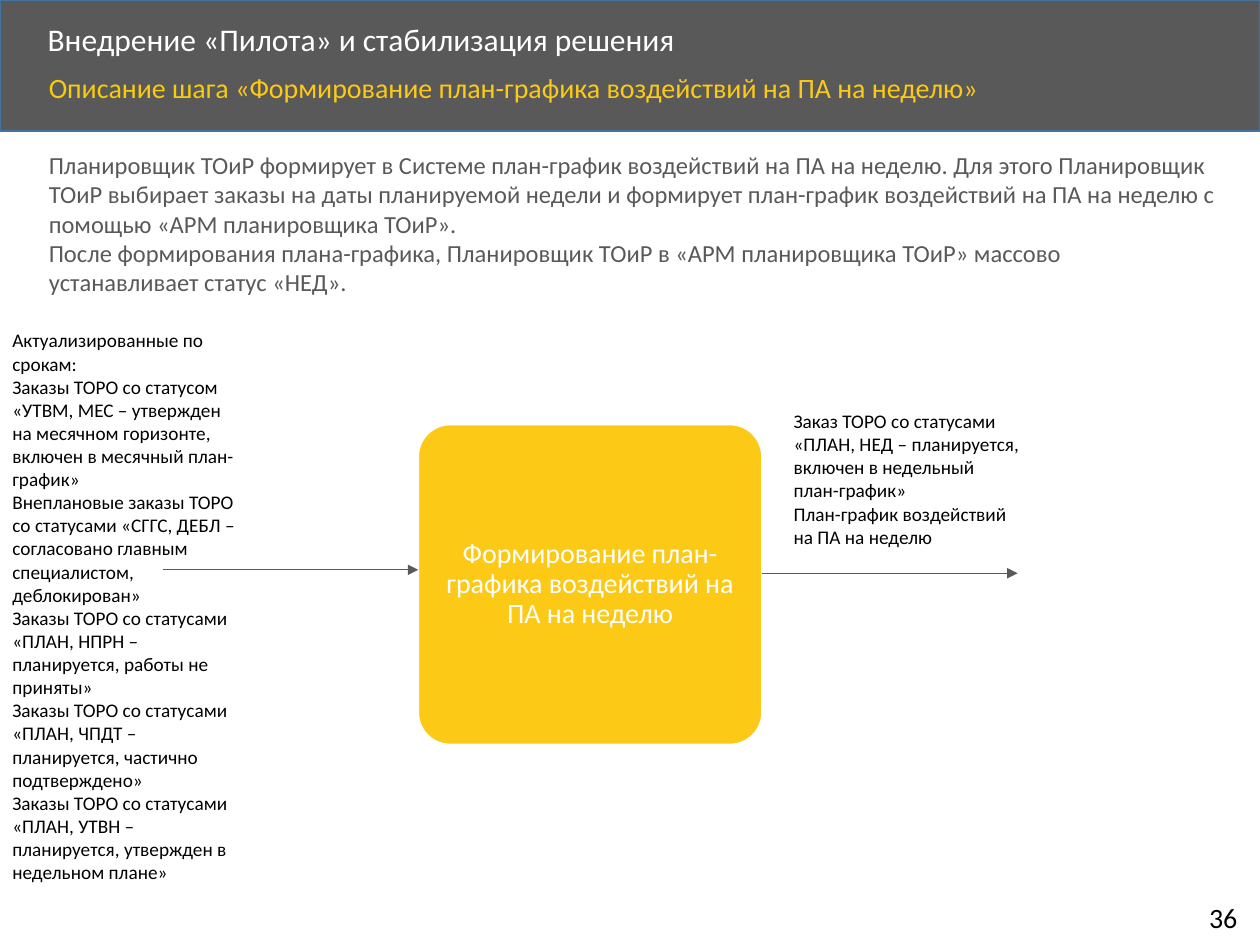
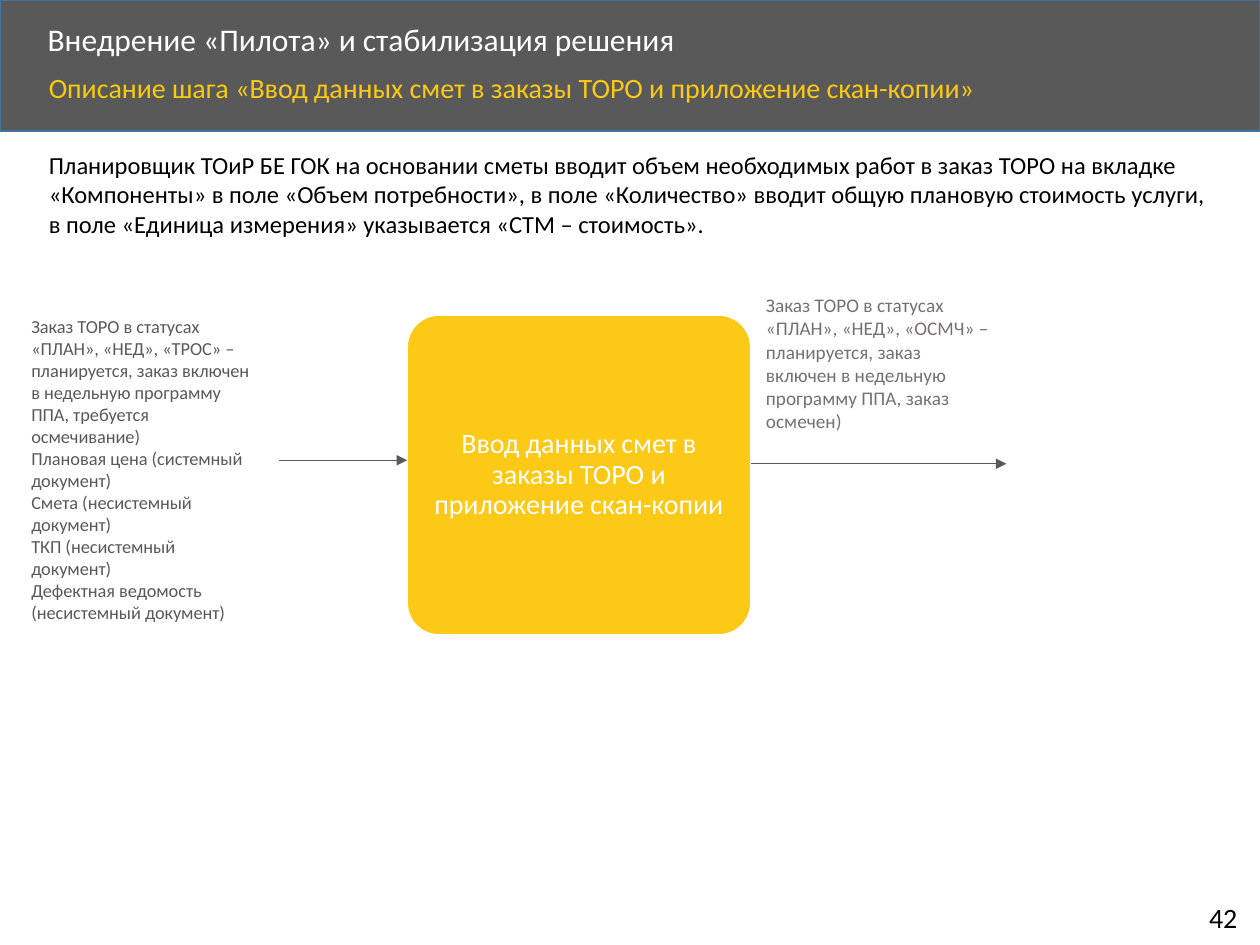
from dataclasses import dataclass

from lxml import etree
from pptx import Presentation
from pptx.dml.color import RGBColor
from pptx.enum.shapes import MSO_CONNECTOR, MSO_SHAPE
from pptx.enum.text import MSO_ANCHOR, MSO_AUTO_SIZE, PP_ALIGN
from pptx.oxml.ns import qn
from pptx.util import Pt


@dataclass(frozen=True)
class Theme:
    """Colours, font and type sizes shared by the slides."""
    font: str = "Calibri"
    grey: str = "595959"
    soft_grey: str = "767171"
    band_line: str = "43739E"
    yellow: str = "FCC917"
    dark_yellow: str = "F6CC0C"
    white: str = "FFFFFF"
    black: str = "000000"
    title: float = 18
    subtitle: float = 16
    body: float = 14
    note: float = 11
    small_note: float = 10.5


T = Theme()
DECK_TITLE = "Внедрение «Пилота» и стабилизация решения"
CARD_W, CARD_H = 196.5, 182.9
NOTE_W = 144
OUT_ARROW_W = 146

STEPS = [
    dict(
        number="36",
        step="Формирование план-графика воздействий на ПА на неделю",
        body="Планировщик ТОиР формирует в Системе план-график воздействий на ПА на неделю. "
             "Для этого Планировщик ТОиР выбирает заказы на даты планируемой недели и формирует "
             "план-график воздействий на ПА на неделю с помощью «АРМ планировщика ТОиР».\v"
             "После формирования плана-графика, Планировщик ТОиР в «АРМ планировщика ТОиР» "
             "массово устанавливает статус «НЕД».",
        body_color=T.grey,
        body_height=92,
        card=(239, 242.6),
        in_arrow_w=146,
        inputs=[
            "Актуализированные по срокам:",
            "Заказы ТОРО со статусом «УТВМ, МЕС – утвержден на месячном горизонте, "
            "включен в месячный план-график»",
            "Внеплановые заказы ТОРО со статусами «СГГС, ДЕБЛ – согласовано главным "
            "специалистом, деблокирован»",
            "Заказы ТОРО со статусами «ПЛАН, НПРН – планируется, работы не приняты»",
            "Заказы ТОРО со статусами «ПЛАН, ЧПДТ – планируется, частично подтверждено»",
            "Заказы ТОРО со статусами «ПЛАН, УТВН – планируется, утвержден в недельном плане»",
        ],
        inputs_at=(0, 184.3, NOTE_W, 327),
        inputs_style=(T.note, T.black),
        outputs=[
            "Заказ ТОРО со статусами «ПЛАН, НЕД – планируется, включен в недельный план-график»",
            "План-график воздействий на ПА на неделю",
        ],
        outputs_at=(446.4, 230.4, NOTE_W, 87),
        outputs_style=(T.note, T.black),
    ),
    dict(
        number="42",
        step="Ввод данных смет в заказы ТОРО и приложение скан-копии",
        body="Планировщик ТОиР БЕ ГОК на основании сметы вводит объем необходимых работ в заказ "
             "ТОРО на вкладке «Компоненты» в поле «Объем потребности», в поле «Количество» вводит "
             "общую плановую стоимость услуги, в поле «Единица измерения» указывается "
             "«СТМ – стоимость».",
        body_color=T.black,
        body_height=58,
        card=(232.6, 180),
        in_arrow_w=73,
        inputs=[
            "Заказ ТОРО в статусах «ПЛАН», «НЕД», «ТРОС» – планируется, заказ включен "
            "в недельную программу ППА, требуется осмечивание)",
            "Плановая цена (системный документ)",
            "Смета (несистемный документ)",
            "ТКП (несистемный документ)",
            "Дефектная ведомость (несистемный документ)",
        ],
        inputs_at=(10.8, 176.4, NOTE_W, 185),
        inputs_style=(T.small_note, T.grey),
        outputs=[
            "Заказ ТОРО в статусах «ПЛАН», «НЕД», «ОСМЧ» – планируется, заказ включен "
            "в недельную программу ППА, заказ осмечен)",
        ],
        outputs_at=(430.6, 164.2, NOTE_W, 87),
        outputs_style=(T.note, T.soft_grey),
    ),
]


def rgb(color):
    """Turn a hex string into a colour."""
    return RGBColor.from_string(color)


def style(p, size, color, align=PP_ALIGN.LEFT, spacing=1.0):
    """Format a whole paragraph."""
    p.alignment = align
    p.line_spacing = spacing
    p.font.name = T.font
    p.font.size = Pt(size)
    p.font.bold = False
    p.font.color.rgb = rgb(color)


def fill_text(tf, lines, size, color, **kw):
    """Write one paragraph per line into a text frame."""
    for i, line in enumerate(lines):
        p = tf.add_paragraph() if i else tf.paragraphs[0]
        p.text = line
        style(p, size, color, **kw)


def add_text(s, box, lines, size, color, wrap=True, **kw):
    """Add a text box and return its text frame."""
    tf = s.shapes.add_textbox(*map(Pt, box)).text_frame
    tf.word_wrap = wrap
    fill_text(tf, lines, size, color, **kw)
    return tf


def add_block(s, kind, box, fill, line):
    """Add a flat filled shape with a thin outline."""
    sp = s.shapes.add_shape(kind, *map(Pt, box))
    sp.shadow.inherit = False
    sp.fill.solid()
    sp.fill.fore_color.rgb = rgb(fill)
    sp.line.color.rgb = rgb(line)
    sp.line.width = Pt(1)
    return sp


def add_arrow(s, x, y, width):
    """Draw a thin arrow pointing right."""
    c = s.shapes.add_connector(MSO_CONNECTOR.STRAIGHT, Pt(x), Pt(y), Pt(x + width), Pt(y))
    c.line.color.rgb = rgb(T.grey)
    c.line.width = Pt(0.5)
    etree.SubElement(c.line._get_or_add_ln(), qn("a:tailEnd"), type="triangle")
    etree.SubElement(c.element.spPr, qn("a:effectLst"))


def add_header(s, step):
    """Place the dark band, the title and the yellow step line."""
    title = s.shapes.title
    band = add_block(s, MSO_SHAPE.RECTANGLE, (0, 0, 720, 75), T.grey, T.band_line)
    title.element.addprevious(band.element)
    title.left, title.top, title.width, title.height = map(Pt, (20, 10, 581, 27.5))
    tf = title.text_frame
    tf.auto_size = MSO_AUTO_SIZE.NONE
    tf.vertical_anchor = MSO_ANCHOR.MIDDLE
    fill_text(tf, [DECK_TITLE], T.title, T.white, spacing=0.9)
    tf = add_text(s, (20.8, 39, 623, 32.5), ["Описание шага "], T.subtitle, T.dark_yellow,
                  spacing=0.9)
    r = tf.paragraphs[0].add_run()
    r.text = f"«{step}»"
    r.font.color.rgb = rgb(T.yellow)


def add_card(s, x, y, step):
    """Add the rounded card that names the step."""
    sp = add_block(s, MSO_SHAPE.ROUNDED_RECTANGLE, (x, y, CARD_W, CARD_H), T.yellow, T.white)
    sp.adjustments[0] = 0.1
    tf = sp.text_frame
    tf.word_wrap = True
    tf.vertical_anchor = MSO_ANCHOR.MIDDLE
    tf.margin_left = tf.margin_right = Pt(1)
    fill_text(tf, [step], T.subtitle, T.white, align=PP_ALIGN.CENTER, spacing=0.9)


def add_step_slide(prs, d):
    """Build the slide of one process step."""
    s = prs.slides.add_slide(prs.slide_layouts[5])
    add_header(s, d["step"])
    add_text(s, (683.8, 511, 33, 26.6), [d["number"]], T.subtitle, T.black, wrap=False)
    x, y = d["card"]
    add_card(s, x, y, d["step"])
    add_arrow(s, x + CARD_W, y + 85, OUT_ARROW_W)
    add_arrow(s, x - d["in_arrow_w"], y + 83, d["in_arrow_w"])
    for side in ("outputs", "inputs"):
        add_text(s, d[side + "_at"], d[side], *d[side + "_style"])
    add_text(s, (20.8, 82, 681, d["body_height"]), [d["body"]], T.body, d["body_color"])


def main():
    """Create the deck and save it."""
    prs = Presentation()
    prs.slide_width, prs.slide_height = Pt(720), Pt(540)
    for d in STEPS:
        add_step_slide(prs, d)
    prs.save("out.pptx")


if __name__ == "__main__":
    main()
